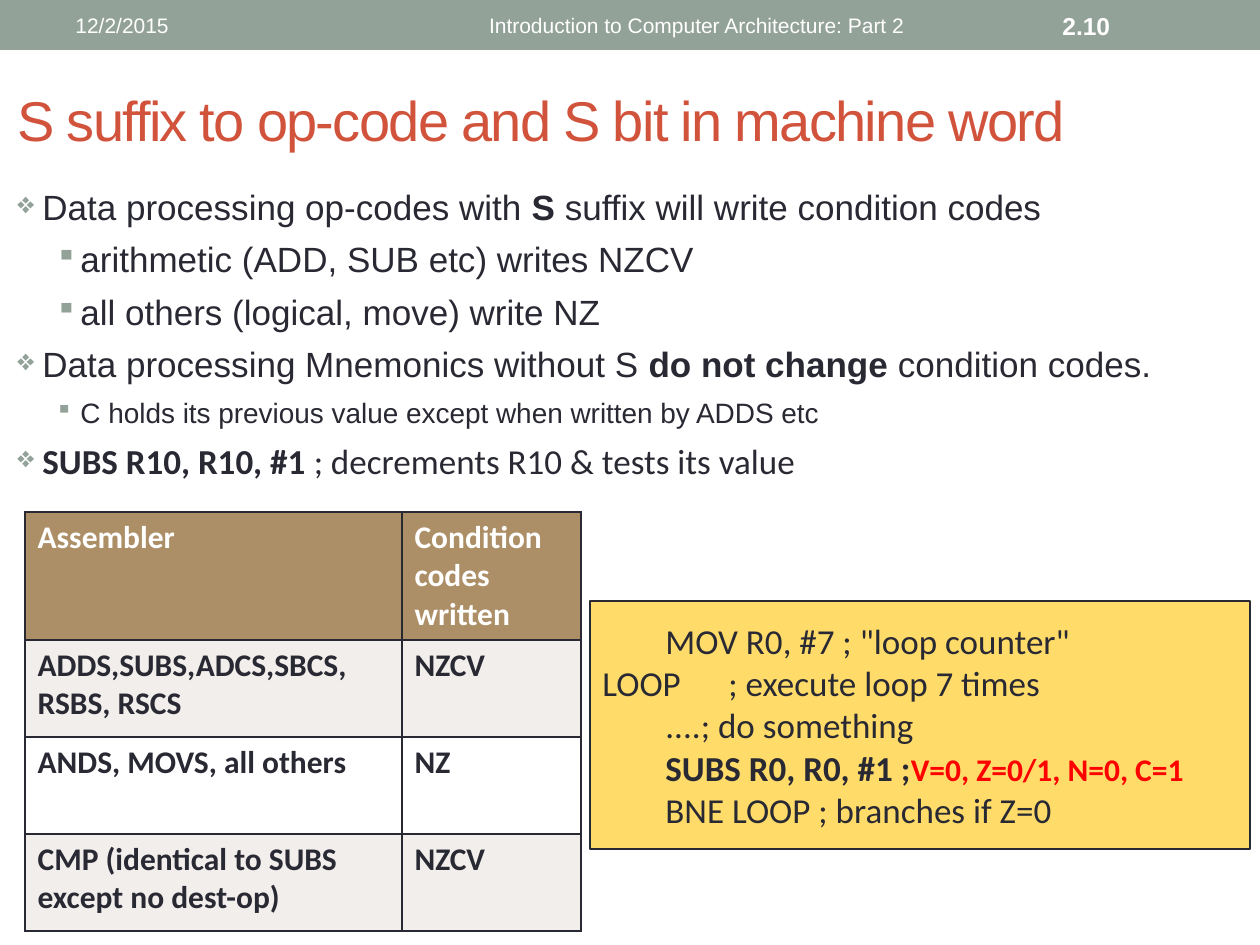
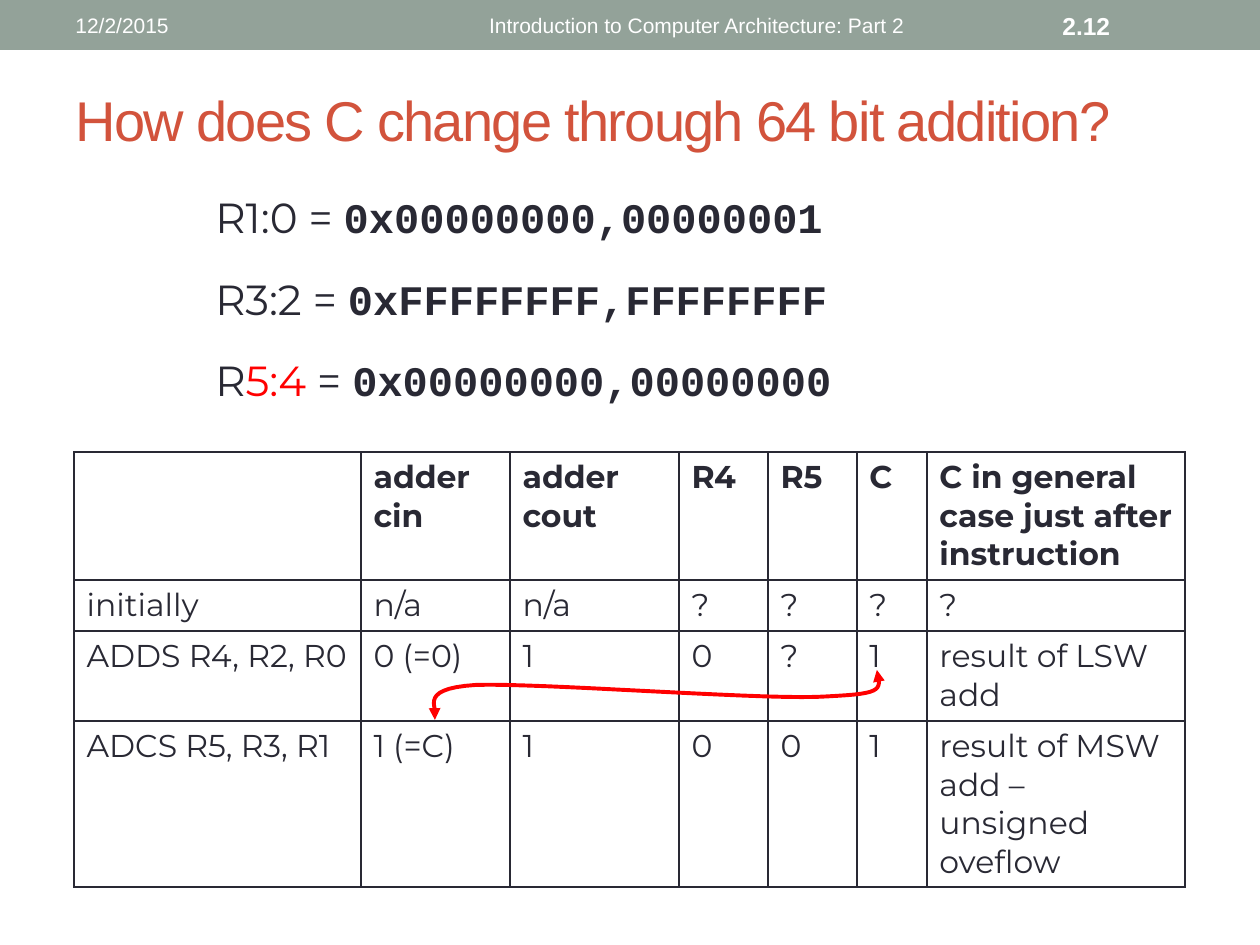
"""Build two lecture slides on condition codes and 64 bit addition."""
from lxml import etree
from pptx import Presentation
from pptx.dml.color import RGBColor
from pptx.enum.shapes import MSO_SHAPE
from pptx.enum.text import MSO_ANCHOR, MSO_AUTO_SIZE, PP_ALIGN
from pptx.oxml.ns import qn
from pptx.util import Pt

RECT = MSO_SHAPE.RECTANGLE
MIDDLE, TOP = MSO_ANCHOR.MIDDLE, MSO_ANCHOR.TOP
LEFT, RIGHT = PP_ALIGN.LEFT, PP_ALIGN.RIGHT
GROW = MSO_AUTO_SIZE.SHAPE_TO_FIT_TEXT

SCALE = 914400 / 126
COLORS = {
    "band": "93A299", "title": "D2533C", "ink": "292934", "white": "FFFFFF",
    "red": "FF0000", "code": "FFDB69", "head": "AD8F67", "stripe": "F1EEEB",
}
BOLD = {"bold": True}
RED = {"color": "red"}
MONO = {"font": "Courier New", "bold": True}
CALIBRI = {"font": "Calibri"}

DATE = "12/2/2015"
FOOTER = "Introduction to Computer Architecture: Part 2"

SUFFIX_TITLE = "S suffix to op-code and S bit in machine word"
SUFFIX_POINTS = [
    (0, [("Data processing op-codes with ", {}), ("S", BOLD),
         (" suffix will write condition codes", {})]),
    (1, [("arithmetic (ADD, SUB etc) writes NZCV", {})]),
    (1, [("all others (logical, move) write NZ", {})]),
    (0, [("Data processing Mnemonics without S ", {}), ("do not change", BOLD),
         (" condition codes.", {})]),
    (1, [("C holds its previous value except when written by ADDS etc", {"size": 16})]),
    (0, [("SUBS R10, R10, #1 ", CALIBRI | BOLD),
         ("; decrements R10 & tests its value", CALIBRI)]),
]
BULLETS = [("❖", 25, -25), ("▪", 63, -25)]
SUFFIX_ROWS = [
    ["Assembler", "Condition codes written"],
    ["ADDS,SUBS,ADCS,SBCS, RSBS, RSCS", "NZCV"],
    ["ANDS, MOVS, all others", "NZ"],
    ["CMP (identical to SUBS except no dest-op)", "NZCV"],
]
LOOP_CODE = [
    [("\tMOV R0, #7 ; \"loop counter\"", {})],
    [("LOOP\t; execute loop 7 times", {})],
    [("\t....; do something", {})],
    [("\t", {}), ("SUBS R0, R0, #1 ;", BOLD),
     ("V=0, Z=0/1, N=0, C=1", BOLD | RED | {"size": 18})],
    [("\tBNE LOOP ; branches if Z=0", {})],
]

CARRY_TITLE = "How does C change through 64 bit addition?"
REGISTERS = [
    [("R1:0 = ", {}), ("0x00000000,00000001", MONO)],
    [("R3:2 = ", {}), ("0xFFFFFFFF,FFFFFFFF", MONO)],
    [("R", {}), ("5:4 ", RED), ("= ", {}), ("0x00000000,00000000", MONO)],
]
CARRY_ROWS = [
    ["", "adder cin", "adder cout", "R4", "R5", "C",
     "C in general case just after instruction"],
    ["initially", "n/a", "n/a", "?", "?", "?", "?"],
    ["ADDS R4, R2, R0", "0 (=0)", "1", "0", "?", "1", "result of LSW add"],
    ["ADCS R5, R3, R1", "1 (=C)", "1", "0", "0", "1",
     "result of MSW add – unsigned oveflow"],
]
CARRY_START = (877, 670)
CARRY_CURVES = [
    ((882, 692), (883, 694), (816, 697)),
    ((748, 699), (539, 683), (476, 685)),
    ((412, 689), (442, 711), (435, 720)),
]
CURVE_STEPS = 16


def emu(px):
    """Turn px into EMU."""
    return round(px * SCALE)


def rgb(name):
    """Look up a named colour."""
    return RGBColor.from_string(COLORS[name])


def add_runs(p, runs, base):
    """Add styled runs to a paragraph."""
    for text, style in runs:
        look = base | style
        r = p.add_run()
        r.text = text
        r.font.name = look["font"]
        r.font.size = Pt(look["size"])
        r.font.bold = look.get("bold", False)
        r.font.color.rgb = rgb(look.get("color", "ink"))
        if "spacing" in look:
            r._r.get_or_add_rPr().set("spc", str(look["spacing"]))


def write(tf, paragraphs, base, anchor=TOP, align=LEFT, wrap=True, gap=0):
    """Fill a text frame with paragraphs of runs."""
    tf.word_wrap = wrap
    tf.vertical_anchor = anchor
    for i, runs in enumerate(paragraphs):
        p = tf.add_paragraph() if i else tf.paragraphs[0]
        p.alignment = align
        if i and gap:
            p.space_before = Pt(gap)
        add_runs(p, runs, base)


def add_text(s, box, paragraphs, base, **layout):
    """Add a text box and return its frame."""
    tf = s.shapes.add_textbox(*map(emu, box)).text_frame
    write(tf, paragraphs, base, **layout)
    return tf


def add_rect(s, box, fill):
    """Add a plain filled rectangle."""
    sp = s.shapes.add_shape(RECT, *map(emu, box))
    sp.shadow.inherit = False
    sp.fill.solid()
    sp.fill.fore_color.rgb = rgb(fill)
    sp.line.fill.background()
    return sp


def add_bullet(p, level):
    """Give a paragraph the bullet and indent of its level."""
    char, margin, indent = BULLETS[level]
    pPr = p._p.get_or_add_pPr()
    pPr.set("marL", str(emu(margin)))
    pPr.set("indent", str(emu(indent)))
    color = etree.SubElement(pPr, qn("a:buClr"))
    etree.SubElement(color, qn("a:srgbClr"), val=COLORS["band"])
    etree.SubElement(pPr, qn("a:buSzPct"), val="85000")
    etree.SubElement(pPr, qn("a:buChar"), char=char)


def add_borders(cell):
    """Draw a thin line on each side of a cell."""
    tcPr = cell._tc.get_or_add_tcPr()
    for side in ("lnL", "lnR", "lnT", "lnB"):
        ln = etree.SubElement(tcPr, qn(f"a:{side}"), w=str(Pt(1)))
        fill = etree.SubElement(ln, qn("a:solidFill"))
        etree.SubElement(fill, qn("a:srgbClr"), val=COLORS["ink"])


def add_table(s, left, top, widths, heights, rows, look):
    """Add a bordered table; look gives fill and text style of a row."""
    box = (left, top, sum(widths), sum(heights))
    table = s.shapes.add_table(len(rows), len(widths), *map(emu, box)).table
    for column, width in zip(table.columns, widths):
        column.width = emu(width)
    for i, (height, texts) in enumerate(zip(heights, rows)):
        table.rows[i].height = emu(height)
        fill, style = look(i)
        for cell, text in zip(table.rows[i].cells, texts):
            add_borders(cell)
            if fill:
                cell.fill.solid()
                cell.fill.fore_color.rgb = rgb(fill)
            else:
                cell.fill.background()
            write(cell.text_frame, [[(text, {})]], style)


def bezier(start, c1, c2, end, t):
    """Return the point at t on a cubic curve."""
    u = 1 - t
    return tuple(u**3 * a + 3 * u * u * t * b + 3 * u * t * t * c + t**3 * d
                 for a, b, c, d in zip(start, c1, c2, end))


def add_carry_arrow(s):
    """Draw the curved two-headed arrow between C and the next carry in."""
    points, start = [], CARRY_START
    for curve in CARRY_CURVES:
        points += [bezier(start, *curve, k / CURVE_STEPS)
                   for k in range(1, CURVE_STEPS + 1)]
        start = curve[-1]
    builder = s.shapes.build_freeform(*map(emu, CARRY_START))
    builder.add_line_segments([tuple(map(emu, pt)) for pt in points], close=False)
    sp = builder.convert_to_shape()
    sp.shadow.inherit = False
    sp.fill.background()
    sp.line.color.rgb = rgb("red")
    sp.line.width = Pt(2.25)
    ln = sp.line._get_or_add_ln()
    for end in ("headEnd", "tailEnd"):
        etree.SubElement(ln, qn(f"a:{end}"), type="triangle")


def add_slide(prs, title, title_left, number):
    """Add a slide with band, title, date, footer and number."""
    s = prs.slides.add_slide(prs.slide_layouts[6])
    add_rect(s, (0, 0, 1260, 50), "band")
    small = {"font": "Arial", "size": 12, "color": "white"}
    add_text(s, (title_left, 73, 1134, 92), [[(title, {})]],
             {"font": "Arial", "size": 32, "color": "title", "spacing": -100},
             anchor=MIDDLE)
    add_text(s, (63, 3, 260, 45), [[(DATE, {})]], small, anchor=MIDDLE)
    add_text(s, (350, 3, 567, 45), [[(FOOTER, {})]], small, anchor=MIDDLE, align=RIGHT)
    add_text(s, (1050, 3, 147, 45), [[(number, {})]], small | BOLD | {"size": 14},
             anchor=MIDDLE)
    return s


def suffix_row_look(i):
    """Return fill and text style of a row in the suffix table."""
    fill = "head" if i == 0 else "stripe" if i % 2 else "white"
    color = "ink" if i else "white"
    return fill, CALIBRI | BOLD | {"size": 18, "color": color}


def carry_row_look(i):
    """Return fill and text style of a row in the carry table."""
    return None, {"font": "Montserrat", "size": 18, "bold": i == 0}


def build_suffix_slide(prs):
    """Build the slide on the S suffix."""
    s = add_slide(prs, SUFFIX_TITLE, 5, "2.10")
    tf = add_text(s, (5, 179, 1191, 312), [runs for _, runs in SUFFIX_POINTS],
                  {"font": "Arial", "size": 20}, gap=6)
    for p, (level, _) in zip(tf.paragraphs, SUFFIX_POINTS):
        add_bullet(p, level)
    add_table(s, 25, 512, [377, 179], [128, 97, 97, 97], SUFFIX_ROWS, suffix_row_look)
    sp = add_rect(s, (590, 601, 660, 248), "code")
    sp.line.color.rgb = rgb("ink")
    sp.line.width = Pt(1)
    write(sp.text_frame, LOOP_CODE, CALIBRI | {"size": 20}, anchor=MIDDLE, wrap=False)


def build_carry_slide(prs):
    """Build the slide on the carry in 64 bit addition."""
    s = add_slide(prs, CARRY_TITLE, 63, "2.12")
    add_table(s, 74, 452, [287, 149, 169, 89, 89, 70, 258], [128, 51, 90, 166],
              CARRY_ROWS, carry_row_look)
    tf = add_text(s, (203, 185, 668, 229), REGISTERS,
                  {"font": "Montserrat", "size": 24}, wrap=False, gap=18)
    tf.auto_size = GROW
    add_carry_arrow(s)


def main():
    """Build and save the presentation."""
    prs = Presentation()
    prs.slide_width, prs.slide_height = emu(1260), emu(945)
    build_suffix_slide(prs)
    build_carry_slide(prs)
    prs.save("out.pptx")


if __name__ == "__main__":
    main()
